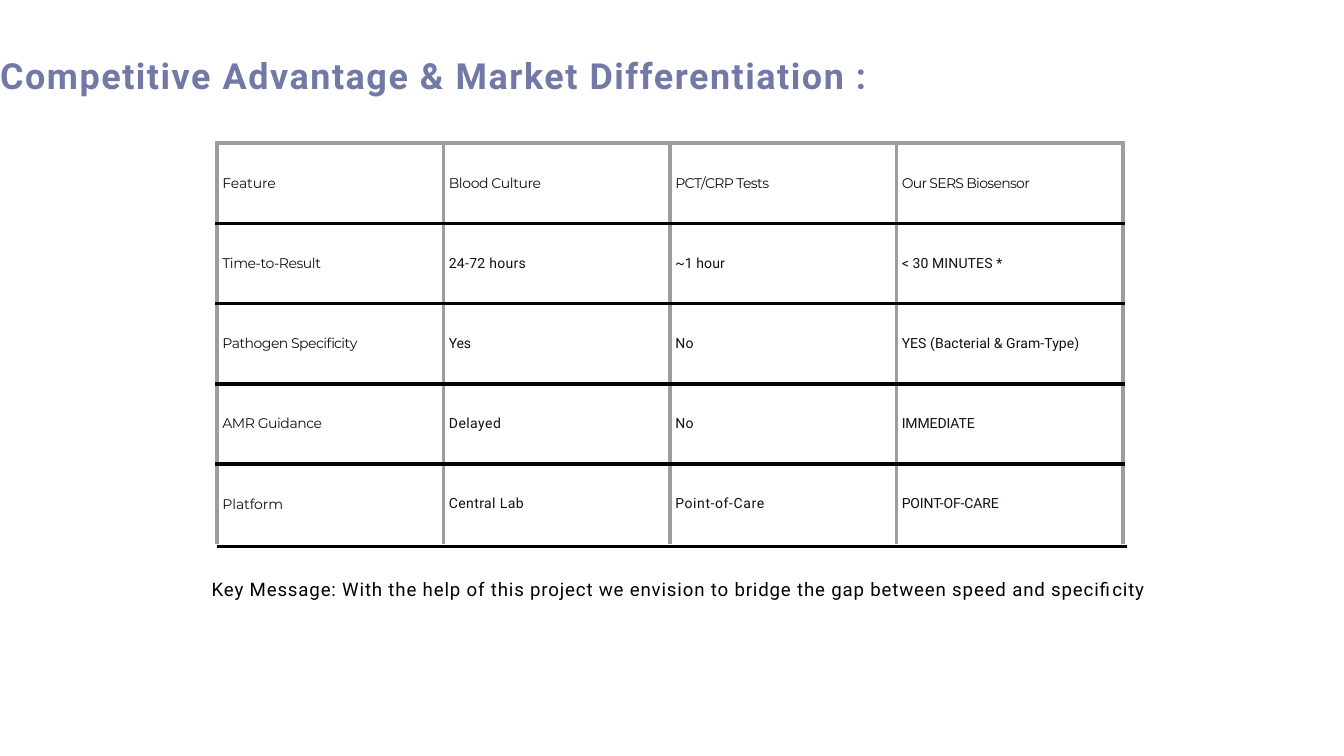
from dataclasses import dataclass

from lxml.etree import SubElement
from pptx import Presentation
from pptx.dml.color import RGBColor
from pptx.enum.text import MSO_ANCHOR as Anchor, MSO_AUTO_SIZE as Fit, PP_ALIGN as Align
from pptx.oxml.ns import qn
from pptx.util import Inches, Pt


@dataclass(frozen=True)
class Theme:
    title: str = "7379A7"
    ink: str = "0E1115"
    black: str = "000000"
    grid: str = "9D9D9D"
    head: str = "Montserrat"
    body: str = "Roboto"
    title_size: float = 38.5
    note_size: float = 20
    cell_size: float = 15
    border: float = 4.5
    rule: float = 3.75


THEME = Theme()

# Each cell holds its wording and its letter spacing in points.
ROWS = [
    [("Feature", -0.1), ("Blood Culture", -0.42),
     ("PCT/CRP Tests", -0.65), ("Our SERS Biosensor", -0.73)],
    [("Time-to-Result", -0.51), ("24-72 hours", 0.32),
     ("~1 hour", 0.1), ("< 30 MINUTES *", 0.13)],
    [("Pathogen Specificity", -0.55), ("Yes", -0.2),
     ("No", 0.4), ("YES (Bacterial & Gram-Type)", 0.09)],
    [("AMR Guidance", -0.47), ("Delayed", 0.5),
     ("No", 0.4), ("IMMEDIATE", -0.1)],
    [("Platform", -0.1), ("Central Lab", 0.45),
     ("Point-of-Care", 0.65), ("POINT-OF-CARE", -0.13)],
]


def write(frame, text, font=THEME.body, size=THEME.cell_size, color=THEME.ink,
          bold=False, track=0):
    frame.word_wrap = True
    para = frame.paragraphs[0]
    para.alignment = Align.LEFT
    run = para.add_run()
    run.text = text
    run.font.name = font
    run.font.size = Pt(size)
    run.font.bold = bold
    run.font.color.rgb = RGBColor.from_string(color)
    run.font._element.set("spc", str(round(track * 100)))


def place(shape, box, inset):
    """Set a text shape's box and its top inset, with no other margins."""
    shape.left, shape.top, shape.width, shape.height = map(Inches, box)
    frame = shape.text_frame
    frame.margin_left = frame.margin_right = frame.margin_bottom = 0
    frame.margin_top = Inches(inset)
    frame.vertical_anchor = Anchor.TOP
    frame.auto_size = Fit.NONE
    return frame


def edge(cell, side, color):
    line = SubElement(cell._tc.get_or_add_tcPr(), qn(f"a:ln{side}"),
                      w=str(Pt(THEME.border)))
    if color:
        fill = SubElement(line, qn("a:solidFill"))
        SubElement(fill, qn("a:srgbClr"), val=color)
    else:
        SubElement(line, qn("a:noFill"))


def add_title(slide, box):
    frame = place(slide.shapes.title, box, 0.89)
    write(frame, "Competitive Advantage & Market Differentiation :",
          size=THEME.title_size, color=THEME.title, bold=True, track=1.66)


def add_grid(slide, box):
    last = len(ROWS) - 1
    table = slide.shapes.add_table(len(ROWS), len(ROWS[0]), *map(Inches, box)).table
    table.first_row = table.horz_banding = False
    for col in table.columns:
        col.width = Inches(box[2] / len(ROWS[0]))
    for r, row in enumerate(ROWS):
        table.rows[r].height = Inches(box[3] / len(ROWS))
        for c, (text, track) in enumerate(row):
            cell = table.cell(r, c)
            cell.margin_left = Inches(0.08)
            cell.margin_top = cell.margin_right = cell.margin_bottom = 0
            cell.vertical_anchor = Anchor.MIDDLE
            font = THEME.body if r and c else THEME.head
            write(cell.text_frame, text, font=font, track=track)
            edge(cell, "L", THEME.grid)
            edge(cell, "R", THEME.grid)
            edge(cell, "T", THEME.black if r else THEME.grid)
            edge(cell, "B", THEME.black if r < last else None)
            cell.fill.background()


def add_rule(slide, box):
    left, top, width = map(Inches, box)
    pen = slide.shapes.build_freeform(left, top)
    pen.add_line_segments([(left + width, top)], close=False)
    rule = pen.convert_to_shape()
    rule.shadow.inherit = False
    rule.fill.background()
    rule.line.color.rgb = RGBColor.from_string(THEME.black)
    rule.line.width = Pt(THEME.rule)


def add_note(slide, box):
    frame = place(slide.shapes.add_textbox(0, 0, 0, 0), box, 0.02)
    write(frame, "Key Message: With the help of this project we envision to bridge "
          "the gap between speed and specificity",
          size=THEME.note_size, color=THEME.black, track=0.89)


def main():
    deck = Presentation()
    deck.slide_width, deck.slide_height = Inches(20), Inches(11.25)
    slide = deck.slides.add_slide(deck.slide_layouts[5])
    add_grid(slide, (3.23, 2.13, 13.48, 5.97))
    add_rule(slide, (3.23, 8.13, 13.54))
    add_title(slide, (0, -0.09, 18.75, 1.83))
    add_note(slide, (3.15, 8.58, 13.9, 0.36))
    deck.save("out.pptx")


if __name__ == "__main__":
    main()
